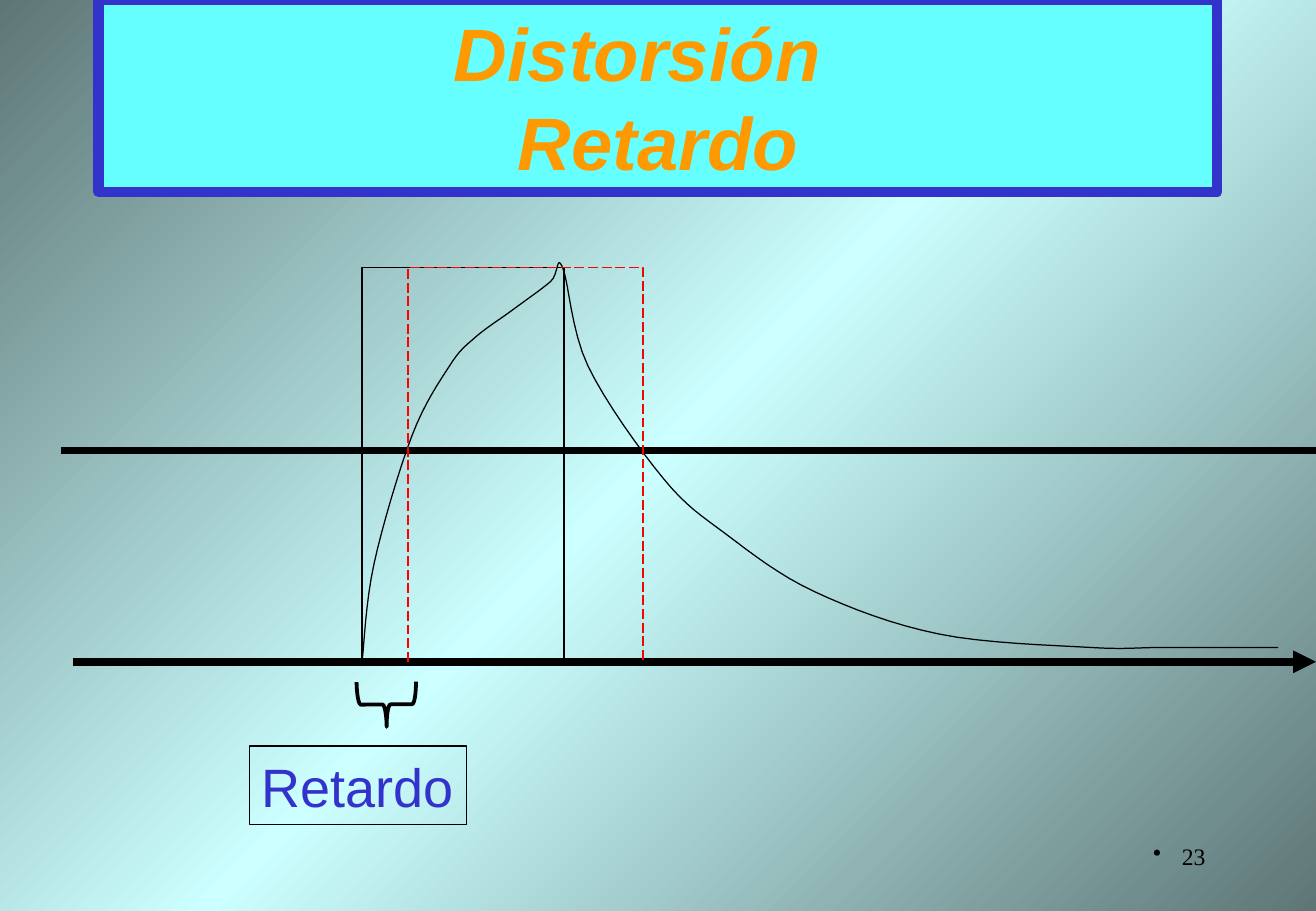
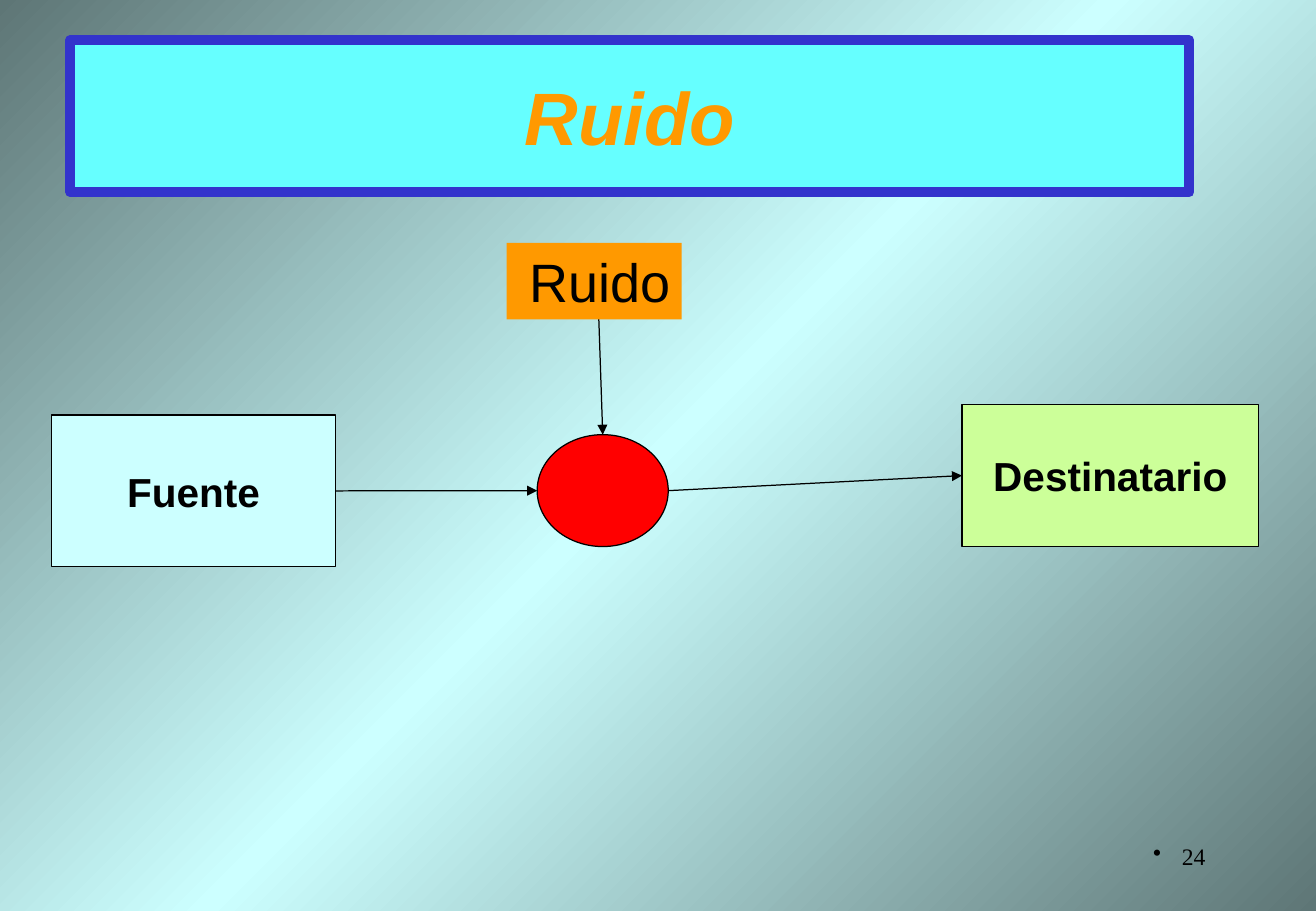
from copy import deepcopy

from lxml.etree import SubElement
from pptx import Presentation
from pptx.dml.color import RGBColor
from pptx.enum.dml import MSO_LINE
from pptx.enum.shapes import MSO_CONNECTOR, MSO_SHAPE
from pptx.enum.text import MSO_ANCHOR, MSO_AUTO_SIZE, PP_ALIGN
from pptx.oxml.ns import qn
from pptx.util import Cm, Pt

WIDTH, HEIGHT = 27.51, 19.05
COLORS = {
    "edge": "5E7676", "glow": "CCFFFF", "band": "66FFFF", "blue": "3333CC",
    "orange": "FF9900", "black": "000000", "red": "FF0000", "green": "CCFF99",
}


def color(name):
    return RGBColor.from_string(COLORS[name])


def write(shape, text, size=24, tint="black", font="Arial", bold=False, italic=False,
          align=PP_ALIGN.CENTER, anchor=MSO_ANCHOR.MIDDLE, wrap=False, bullet=False):
    frame = shape.text_frame
    frame.auto_size = MSO_AUTO_SIZE.NONE
    frame.word_wrap = wrap
    frame.vertical_anchor = anchor
    frame.text = text
    para = frame.paragraphs[0]
    para.alignment = align
    if bullet:
        props = para._p.get_or_add_pPr()
        props.set("marL", str(Cm(0.6)))
        props.set("indent", str(-Cm(0.6)))
        SubElement(props, qn("a:buChar")).set("char", "•")
    for run in para.runs:
        style = run.font
        style.name, style.size = font, Pt(size)
        style.bold, style.italic = bold, italic
        style.color.rgb = color(tint)


def curve(knots, steps=8):
    """Return points on a Catmull-Rom spline through the knots."""
    ends = [knots[0], *knots, knots[-1]]
    points = [knots[0]]
    for a, b, c, d in zip(ends, ends[1:], ends[2:], ends[3:]):
        for step in range(1, steps + 1):
            t = step / steps
            points.append(tuple(
                q + t / 2 * (r - p + t * (2 * p - 5 * q + 4 * r - s
                                          + t * (3 * (q - r) + s - p)))
                for p, q, r, s in zip(a, b, c, d)))
    return points


class Deck:
    def __init__(self):
        self.prs = Presentation()
        self.prs.slide_width, self.prs.slide_height = Cm(WIDTH), Cm(HEIGHT)
        self.slide = None
        self.paint()

    def paint(self):
        """Give the master its diagonal gradient."""
        master = self.prs.slide_master
        fill = master.background.fill
        fill.gradient()
        fill.gradient_angle = 315
        stops = master.element.xpath(".//p:bg//a:gsLst")[0]
        stops.insert(1, deepcopy(stops[0]))
        for stop, name, place in zip(fill.gradient_stops, ("edge", "glow", "edge"), (0, 0.5, 1)):
            stop.color.rgb = color(name)
            stop.position = place

    def start(self, title, number, left, top, height):
        self.slide = self.prs.slides.add_slide(self.prs.slide_layouts[5])
        head = self.slide.shapes.title
        head.left, head.top = Cm(left), Cm(top)
        head.width, head.height = Cm(23.39), Cm(height)
        self.dress(head, "band", "blue", 6)
        write(head, title, size=44, tint="orange", bold=True, italic=True, wrap=True)
        page = self.slide.shapes.add_textbox(Cm(19.71), Cm(17.35), Cm(5.74), Cm(1.27))
        page.text_frame.margin_top = Cm(0.25)
        write(page, str(number), size=14, font="Times New Roman", align=PP_ALIGN.RIGHT,
              anchor=MSO_ANCHOR.TOP, wrap=True, bullet=True)

    def dress(self, shape, fill=None, line="black", weight=0.75):
        if fill:
            shape.fill.solid()
            shape.fill.fore_color.rgb = color(fill)
        else:
            shape.fill.background()
        if line:
            shape.line.color.rgb = color(line)
            shape.line.width = Pt(weight)
        else:
            shape.line.fill.background()

    def shape(self, left, top, width, height, kind=MSO_SHAPE.RECTANGLE, **look):
        item = self.slide.shapes.add_shape(kind, Cm(left), Cm(top), Cm(width), Cm(height))
        item.shadow.inherit = False
        self.dress(item, **look)
        return item

    def trace(self, points, line="black", dash=None):
        """Draw an open outline through the points."""
        spots = [(Cm(x), Cm(y)) for x, y in points]
        pen = self.slide.shapes.build_freeform(*spots[0])
        pen.add_line_segments(spots[1:], close=False)
        item = pen.convert_to_shape()
        item.shadow.inherit = False
        self.dress(item, line=line)
        if dash:
            item.line.dash_style = dash

    def pulse(self, left, right, top, base, **look):
        self.trace([(left, base), (left, top), (right, top), (right, base)], **look)

    def link(self, start, end, weight=0.75, arrow=True):
        item = self.slide.shapes.add_connector(
            MSO_CONNECTOR.STRAIGHT, *(Cm(v) for v in (*start, *end)))
        item.line.color.rgb = color("black")
        item.line.width = Pt(weight)
        if arrow:
            SubElement(item.line._get_or_add_ln(), qn("a:tailEnd")).set("type", "triangle")
        SubElement(item._element.spPr, qn("a:effectLst"))
        return item


def delay(deck):
    deck.start("Distorsión  \vRetardo", 23, 2.06, 0, 4.01)
    top, base, level = 5.59, 13.84, 9.42
    deck.link((1.52, base), (WIDTH, base), weight=4.5)
    deck.pulse(7.57, 11.79, top, base)
    deck.trace(curve([
        (7.57, base), (7.82, 11.79), (8.61, 9.12), (9.4, 7.65),
        (9.93, 7.06), (10.72, 6.48), (11.51, 5.89), (11.76, top),
        (12.29, 7.65), (13.87, 10.01), (15.19, 11.18), (17.02, 12.37),
        (19.63, 13.26), (22.78, 13.54), (24.36, 13.54), (26.72, 13.54),
    ]))
    deck.link((1.27, level), (WIDTH, level), weight=4.5, arrow=False)
    deck.pulse(8.53, 13.44, top, base, line="red", dash=MSO_LINE.LONG_DASH)
    brace = deck.shape(7.61, 14.11, 0.94, 1.24, MSO_SHAPE.LEFT_BRACE, weight=2.25)
    brace.adjustments[0] = 0.09
    brace.rotation = 269.5
    label = deck.shape(5.21, 15.6, 4.55, 1.65)
    write(label, "Retardo", size=32, tint="blue", align=PP_ALIGN.LEFT)


def noise(deck):
    deck.start("Ruido", 24, 1.47, 0.84, 3.18)
    node = deck.shape(11.23, 9.09, 2.74, 2.34, MSO_SHAPE.OVAL, fill="red")
    source = deck.shape(1.07, 8.68, 5.95, 3.17, fill="glow")
    write(source, "Fuente", bold=True)
    target = deck.shape(20.11, 8.46, 6.2, 2.97, fill="green")
    write(target, "Destinatario", bold=True)
    middle = 10.26
    deck.link((7.02, middle), (11.23, middle)).begin_connect(source, 3)
    deck.link((13.97, middle), (20.11, 9.95)).end_connect(target, 1)
    deck.link((12.5, 6.15), (12.6, 9.09)).end_connect(node, 0)
    label = deck.shape(10.59, 5.08, 3.66, 1.6, fill="orange", line=None)
    label.text_frame.margin_left = Cm(0.47)
    write(label, "Ruido", size=32, align=PP_ALIGN.LEFT)


def main():
    deck = Deck()
    delay(deck)
    noise(deck)
    deck.prs.save("out.pptx")


if __name__ == "__main__":
    main()
